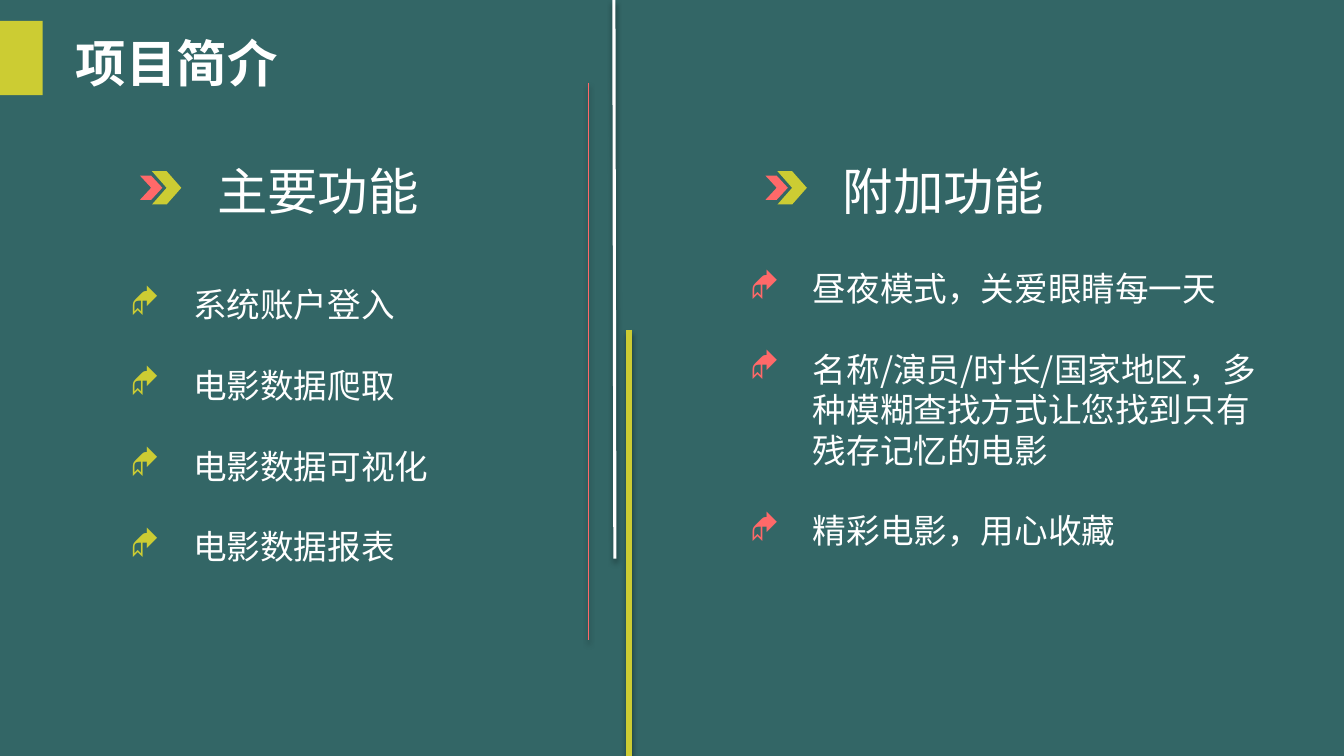
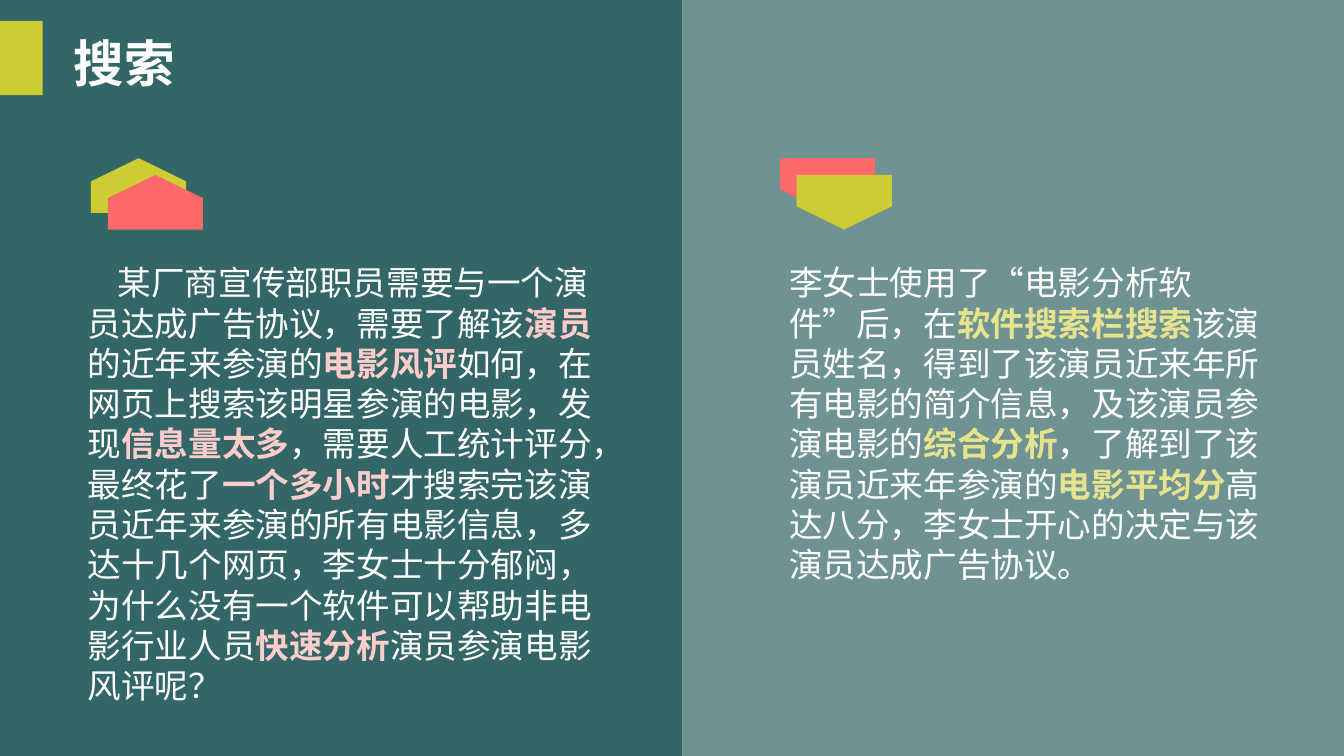
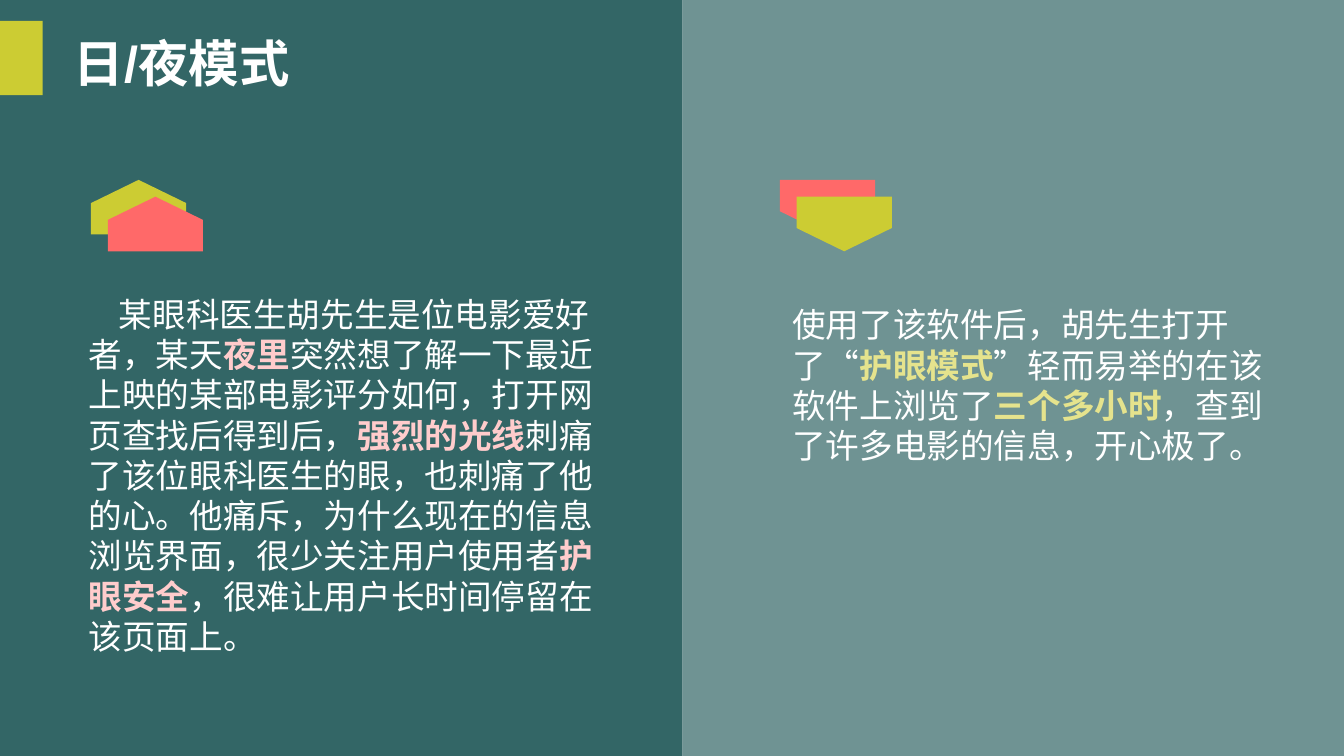
"""Build three slides that present a film analysis project."""
from lxml.etree import SubElement
from pptx import Presentation
from pptx.dml.color import RGBColor
from pptx.enum.shapes import MSO_CONNECTOR, MSO_SHAPE
from pptx.enum.text import MSO_ANCHOR, MSO_AUTO_SIZE, PP_ALIGN
from pptx.oxml.ns import qn
from pptx.util import Pt

COLORS = {
    "teal": "336666", "white": "FFFFFF", "lime": "CCCC33", "coral": "FF6969",
    "pale_lime": "E5E38D", "pale_coral": "FFCCCC", "black": "000000",
}
CJK_FONT = "Noto Sans CJK SC"
SLIDE_WIDTH, SLIDE_HEIGHT = 960, 540
PANEL_SPLIT = 487.4
TITLE_BAND = (0, 15, 30.5, 53)

INTRO = {
    "title": ("项目简介", CJK_FONT, 176.4, 16),
    "dividers": [
        ((438.5, 0), (439.2, 399), "white", 2.25),
        ((449.3, 235.5), (449.3, 540), "lime", 4.5),
        ((420.5, 59), (420.5, 457.2), "coral", 1),
    ],
    "headings": [(100, "主要功能"), (546.8, "附加功能")],
    "lists": [
        {
            "box": (85.7, 170.6, 262.8, 231),
            "bullet": "lime",
            "spacing": {"line_spacing": 2.0},
            "items": ["系统账户登入", "电影数据爬取", "电影数据可视化", "电影数据报表"],
        },
        {
            "box": (528.5, 187.9, 395.3, 211),
            "bullet": "coral",
            "spacing": {"line_spacing": 1.0, "space_after": Pt(28.8)},
            "items": [
                "昼夜模式，关爱眼睛每一天",
                "名称/演员/时长/国家地区，多种模糊查找方式让您找到只有残存记忆的电影",
                "精彩电影，用心收藏",
            ],
        },
    ],
}

STORIES = [
    {
        "title": ("搜索", "Arial", 102.2, 14.5),
        "icon_top": 113,
        "problem": {
            "box": (55.4, 183.6, 375, 349),
            "runs": [
                "某厂商宣传部职员需要与一个演员达成广告协议，需要了解该", "演员",
                "的近年来参演的", "电影风评",
                "如何，在网页上搜索该明星参演的电影，发现", "信息量太多",
                "，需要人工统计评分，最终花了", "一个多小时",
                "才搜索完该演员近年来参演的所有电影信息，多达十几个网页，"
                "李女士十分郁闷，为什么没有一个软件可以帮助非电影行业人员", "快速分析",
                "演员参演电影风评呢？",
            ],
        },
        "answer": {
            "box": (556.4, 183.6, 356.4, 262),
            "margin_top": 3.6,
            "runs": [
                "李女士使用了“电影分析软件”后，在", "软件搜索栏搜索",
                "该演员姓名，得到了该演员近来年所有电影的简介信息，及该演员参演电影的",
                "综合分析", "，了解到了该演员近来年参演的", "电影平均分",
                "高达八分，李女士开心的决定与该演员达成广告协议。",
            ],
        },
    },
    {
        "title": ("日/夜模式", "Arial", 189.4, 14.5),
        "icon_top": 128.5,
        "problem": {
            "box": (56.2, 206, 375, 269),
            "runs": [
                "某眼科医生胡先生是位电影爱好者，某天", "夜里",
                "突然想了解一下最近上映的某部电影评分如何，打开网页查找后得到后，",
                "强烈的光线",
                "刺痛了该位眼科医生的眼，也刺痛了他的心。他痛斥，"
                "为什么现在的信息浏览界面，很少关注用户使用者", "护眼安全",
                "，很难让用户长时间停留在该页面上。",
            ],
        },
        "answer": {
            "box": (558.7, 179.3, 356.4, 157.7),
            "margin_top": 38,
            "runs": [
                "使用了该软件后，胡先生打开了“", "护眼模式",
                "”轻而易举的在该软件上浏览了", "三个多小时",
                "，查到了许多电影的信息，开心极了。",
            ],
        },
    },
]


def apply(target, **values):
    for name, value in values.items():
        setattr(target, name, value)


def rgb(color):
    return RGBColor.from_string(COLORS[color])


def place(shape, box):
    left, top, width, height = map(Pt, box)
    apply(shape, left=left, top=top, width=width, height=height)


def paint(shape, color):
    shape.shadow.inherit = False
    shape.fill.solid()
    shape.fill.fore_color.rgb = rgb(color)
    shape.line.fill.background()
    return shape


def add_block(shapes, kind, box, color):
    return paint(shapes.add_shape(kind, *map(Pt, box)), color)


def prepare_frame(shape, margin_top=3.6):
    frame = shape.text_frame
    apply(frame, word_wrap=True, auto_size=MSO_AUTO_SIZE.SHAPE_TO_FIT_TEXT,
          vertical_anchor=MSO_ANCHOR.TOP, margin_top=Pt(margin_top))
    return frame


def add_run(paragraph, text, size=24, color="white", bold=False, font=CJK_FONT):
    run = paragraph.add_run()
    run.text = text
    run.font.color.rgb = rgb(color)
    apply(run.font, size=Pt(size), bold=bold, name=font)
    SubElement(run._r.get_or_add_rPr(), qn("a:ea"), typeface=CJK_FONT)


def format_paragraph(paragraph, margin=0, indent=0, bullet=None, **spacing):
    apply(paragraph, **{"alignment": PP_ALIGN.LEFT, "space_before": Pt(0), **spacing})
    properties = paragraph._p.get_or_add_pPr()
    properties.set("marL", str(Pt(margin)))
    properties.set("indent", str(Pt(indent)))
    if bullet:
        bullet_color = SubElement(properties, qn("a:buClr"))
        SubElement(bullet_color, qn("a:srgbClr"), val=COLORS[bullet])
        SubElement(properties, qn("a:buFont"), typeface="Wingdings")
        SubElement(properties, qn("a:buChar"), char="◆")
    else:
        SubElement(properties, qn("a:buNone"))


def start_slide(presentation, title, background):
    slide = presentation.slides.add_slide(presentation.slide_layouts[3])
    slide.background.fill.solid()
    slide.background.fill.fore_color.rgb = rgb(background)
    text, font, width, indent = title
    place(slide.shapes.title, (31, 19.4, width, 51))
    paragraph = prepare_frame(slide.shapes.title).paragraphs[0]
    format_paragraph(paragraph, indent=indent)
    add_run(paragraph, text, size=36, bold=True, font=font)
    add_block(slide.shapes, MSO_SHAPE.RECTANGLE, TITLE_BAND, "lime")
    return slide


def add_divider(slide, start, end, color, width):
    divider = slide.shapes.add_connector(MSO_CONNECTOR.STRAIGHT, *map(Pt, start + end))
    divider.line.color.rgb = rgb(color)
    divider.line.width = Pt(width)
    effects = SubElement(divider._element.spPr, qn("a:effectLst"))
    shadow = SubElement(effects, qn("a:outerShdw"), blurRad=str(Pt(4)), dist=str(Pt(3)),
                        dir="5400000", rotWithShape="0")
    shadow_color = SubElement(shadow, qn("a:srgbClr"), val=COLORS["black"])
    SubElement(shadow_color, qn("a:alpha"), val="40000")


def add_heading(slide, left, text):
    shapes = slide.shapes.add_group_shape().shapes
    add_block(shapes, MSO_SHAPE.CHEVRON, (left, 125.5, 16, 17.3), "coral")
    add_block(shapes, MSO_SHAPE.CHEVRON, (left + 8.5, 122.3, 21, 23.8), "lime")
    box = shapes.add_textbox(*map(Pt, (left + 48, 111, 207.4, 51)))
    add_run(prepare_frame(box).paragraphs[0], text, size=36)


def fill_list(placeholder, content):
    place(placeholder, content["box"])
    frame = prepare_frame(placeholder)
    for index, item in enumerate(content["items"]):
        paragraph = frame.add_paragraph() if index else frame.paragraphs[0]
        format_paragraph(paragraph, 45, -45, content["bullet"], **content["spacing"])
        add_run(paragraph, item)


def fill_story(placeholder, content, highlight, indent=0):
    place(placeholder, content["box"])
    paragraph = prepare_frame(placeholder, content.get("margin_top", 3.6)).paragraphs[0]
    format_paragraph(paragraph, indent=indent)
    for index, text in enumerate(content["runs"]):
        strong = index % 2 == 1
        add_run(paragraph, text, color=highlight if strong else "white", bold=strong)


def add_panels(slide):
    right_width = SLIDE_WIDTH - PANEL_SPLIT
    for left, width, opacity in [(PANEL_SPLIT, right_width, 70), (0, PANEL_SPLIT, 100)]:
        panel = add_block(slide.shapes, MSO_SHAPE.RECTANGLE,
                          (left, 0, width, SLIDE_HEIGHT), "teal")
        if opacity < 100:
            color = panel._element.spPr.find(".//" + qn("a:srgbClr"))
            SubElement(color, qn("a:alpha"), val=str(opacity * 1000))
        slide.shapes.title.element.addprevious(panel.element)


def add_icon(slide, left, top, colors, upward):
    width, height, shoulder, step = 68, 39, 16.6, 12
    outline = [(0, height), (width, height), (width, shoulder), (width / 2, 0), (0, shoulder)]
    if not upward:
        outline = [(x, height - y) for x, y in outline]
    for index, color in enumerate(colors):
        shift = index * step
        points = [(Pt(left + shift + x), Pt(top + shift + y)) for x, y in outline]
        builder = slide.shapes.build_freeform(*points[0])
        builder.add_line_segments(points[1:], close=True)
        paint(builder.convert_to_shape(), color)


def build_intro(presentation):
    slide = start_slide(presentation, INTRO["title"], "teal")
    for divider in INTRO["dividers"]:
        add_divider(slide, *divider)
    for heading in INTRO["headings"]:
        add_heading(slide, *heading)
    for index, content in enumerate(INTRO["lists"], start=1):
        fill_list(slide.placeholders[index], content)


def build_story(presentation, story):
    slide = start_slide(presentation, story["title"], "white")
    add_panels(slide)
    add_icon(slide, 65, story["icon_top"], ("lime", "coral"), upward=True)
    add_icon(slide, 557, story["icon_top"], ("coral", "lime"), upward=False)
    fill_story(slide.placeholders[1], story["problem"], "pale_coral", indent=21.5)
    fill_story(slide.placeholders[2], story["answer"], "pale_lime")


def main():
    presentation = Presentation()
    apply(presentation, slide_width=Pt(SLIDE_WIDTH), slide_height=Pt(SLIDE_HEIGHT))
    build_intro(presentation)
    for story in STORIES:
        build_story(presentation, story)
    presentation.save("out.pptx")


main()
